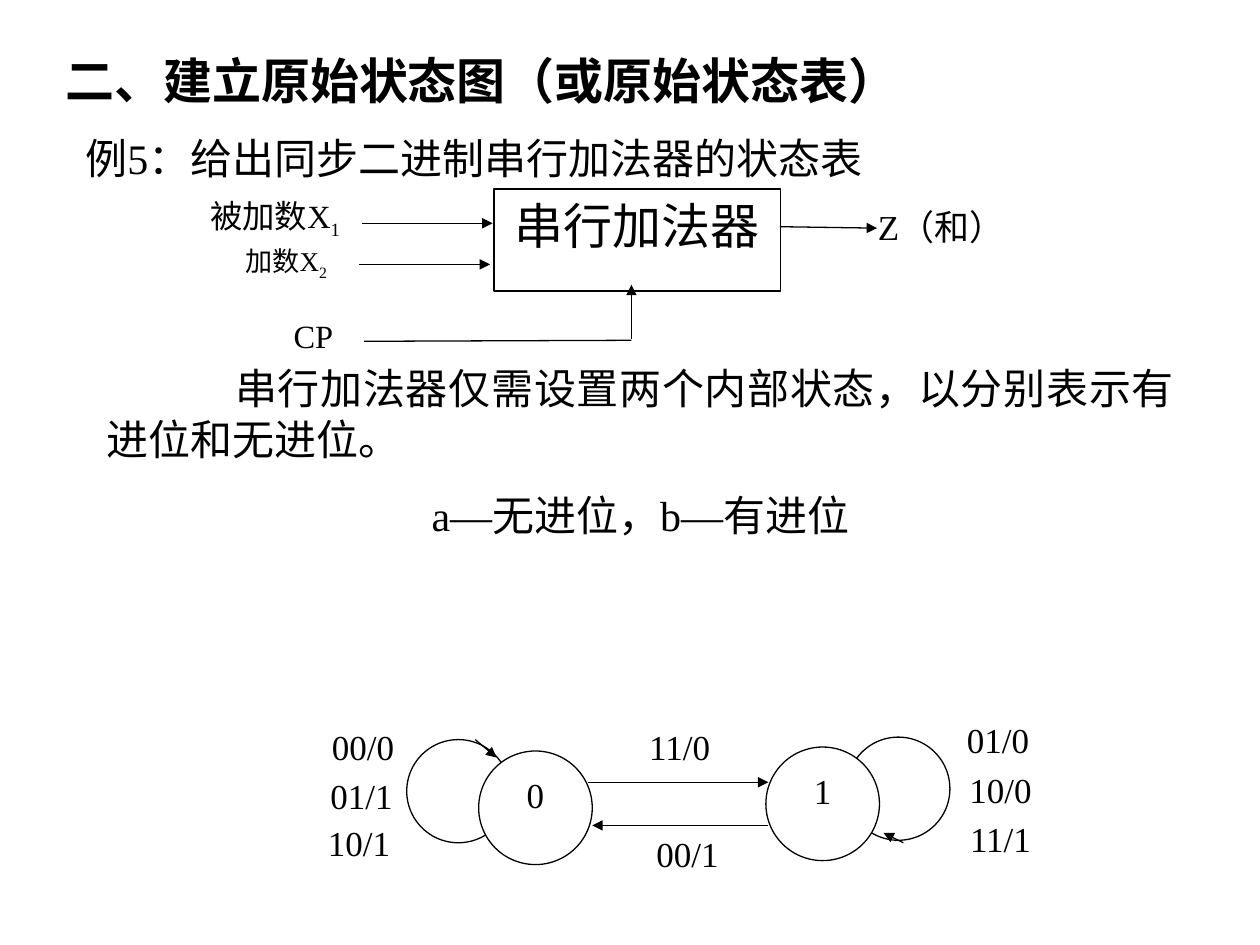
from lxml.etree import SubElement
from pptx import Presentation
from pptx.dml.color import RGBColor
from pptx.enum.shapes import MSO_CONNECTOR, MSO_SHAPE
from pptx.enum.text import MSO_ANCHOR, PP_ALIGN
from pptx.oxml.ns import qn
from pptx.util import Cm, Pt

COLORS = {"ink": "000000", "paper": "FFFFFF"}
FONT = "Times New Roman"
INK = RGBColor.from_string(COLORS["ink"])
PAPER = RGBColor.from_string(COLORS["paper"])

deck = Presentation()
deck.slide_width, deck.slide_height = Cm(25.4), Cm(19.05)
page = deck.slides.add_slide(deck.slide_layouts[6])


def write(text, place, shape=None, size=20, bold=False, align=PP_ALIGN.LEFT,
          inset=0, subscript="", indent=0, before=0):
    if shape is None:
        box = page.shapes.add_textbox(*[Cm(value) for value in place])
    else:
        box = page.shapes.add_shape(shape, *[Cm(value) for value in place])
        box.shadow.inherit = False
        box.fill.solid()
        box.fill.fore_color.rgb = PAPER
        box.line.color.rgb = INK
        box.line.width = Pt(0.75)
    frame = box.text_frame
    frame.word_wrap = True
    frame.vertical_anchor = MSO_ANCHOR.TOP
    frame.margin_left = frame.margin_right = Cm(inset)
    frame.margin_top = frame.margin_bottom = Cm(inset / 2)
    if not text:
        return box
    for index, line in enumerate(text.split("\n")):
        para = frame.add_paragraph() if index else frame.paragraphs[0]
        para.alignment = PP_ALIGN.CENTER if index else align
        if index:
            para.space_before = Pt(before)
        elif indent:
            para._p.get_or_add_pPr().set("indent", str(Cm(indent)))
        for part in filter(None, (line, subscript)):
            span = para.add_run()
            span.text = part
            span.font.name = FONT
            span.font.size = Pt(size)
            span.font.bold = bold
            span.font.color.rgb = INK
        if subscript:
            span._r.get_or_add_rPr().set("baseline", "-25000")
    return box


write("二、建立原始状态图（或原始状态表）", (1.07, 0.89, 19.89, 1.45),
      size=28, bold=True, inset=0.25)
write("例5：给出同步二进制串行加法器的状态表", (1.47, 2.54, 22.43, 1.27),
      size=24, align=PP_ALIGN.JUSTIFY, inset=0.25)
write("串行加法器", (9.96, 3.81, 5.77, 2.06), shape=MSO_SHAPE.RECTANGLE,
      size=28, align=PP_ALIGN.CENTER, inset=0.25)
write("被加数X", (4.24, 3.96, 3.12, 0.97), size=18.5, subscript="1")
write("加数X", (4.95, 4.93, 2.26, 0.79), size=15.5, subscript="2")
write("CP", (5.92, 6.38, 1.35, 0.81), size=18.5)
write("Z（和）", (17.7, 4.14, 3.25, 0.94))
write("串行加法器仅需设置两个内部状态，以分别表示有进位和无进位。\na—无进位，b—有进位",
      (1.9, 7.19, 22.02, 3.84), size=24, align=PP_ALIGN.JUSTIFY,
      inset=0.25, indent=2.59, before=15)

for left, top in [(8.2, 14.91), (17.07, 14.86)]:
    write("", (left, top, 2.08, 2.08), shape=MSO_SHAPE.OVAL)

wires = [
    (7.29, 4.5, 9.93, 4.5, True),
    (7.24, 5.33, 9.88, 5.33, True),
    (12.73, 6.83, 12.73, 5.74, True),
    (12.73, 6.86, 7.34, 6.88, False),
    (15.72, 4.57, 17.68, 4.6, True),
    (9.58, 14.91, 10.01, 15.27, True),
    (18.21, 16.99, 17.81, 16.79, True),
    (11.86, 15.77, 15.49, 15.77, True),
    (15.49, 16.64, 11.94, 16.64, True),
]
for *ends, arrow in wires:
    wire = page.shapes.add_connector(MSO_CONNECTOR.STRAIGHT, *[Cm(end) for end in ends])
    wire.line.color.rgb = INK
    wire.line.width = Pt(0.75)
    if arrow:
        SubElement(wire.line._get_or_add_ln(), qn("a:tailEnd"), type="triangle")
    SubElement(wire._element.spPr, qn("a:effectLst"))

labels = [
    ("11/0", 12.81, 14.63), ("00/1", 12.97, 16.79),
    ("00/0", 6.43, 14.63), ("01/1", 6.4, 15.62), ("10/1", 6.35, 16.56),
    ("01/0", 19.23, 14.48), ("10/0", 19.28, 15.49), ("11/1", 19.28, 16.48),
]
for label, left, top in labels:
    write(label, (left, top, 1.78, 1), align=PP_ALIGN.CENTER)

for state, left, top in [("0", 9.65, 15.14), ("1", 15.44, 15.06)]:
    write(state, (left, top, 2.29, 2.29), shape=MSO_SHAPE.OVAL,
          align=PP_ALIGN.CENTER, inset=0.25)

deck.save("out.pptx")
